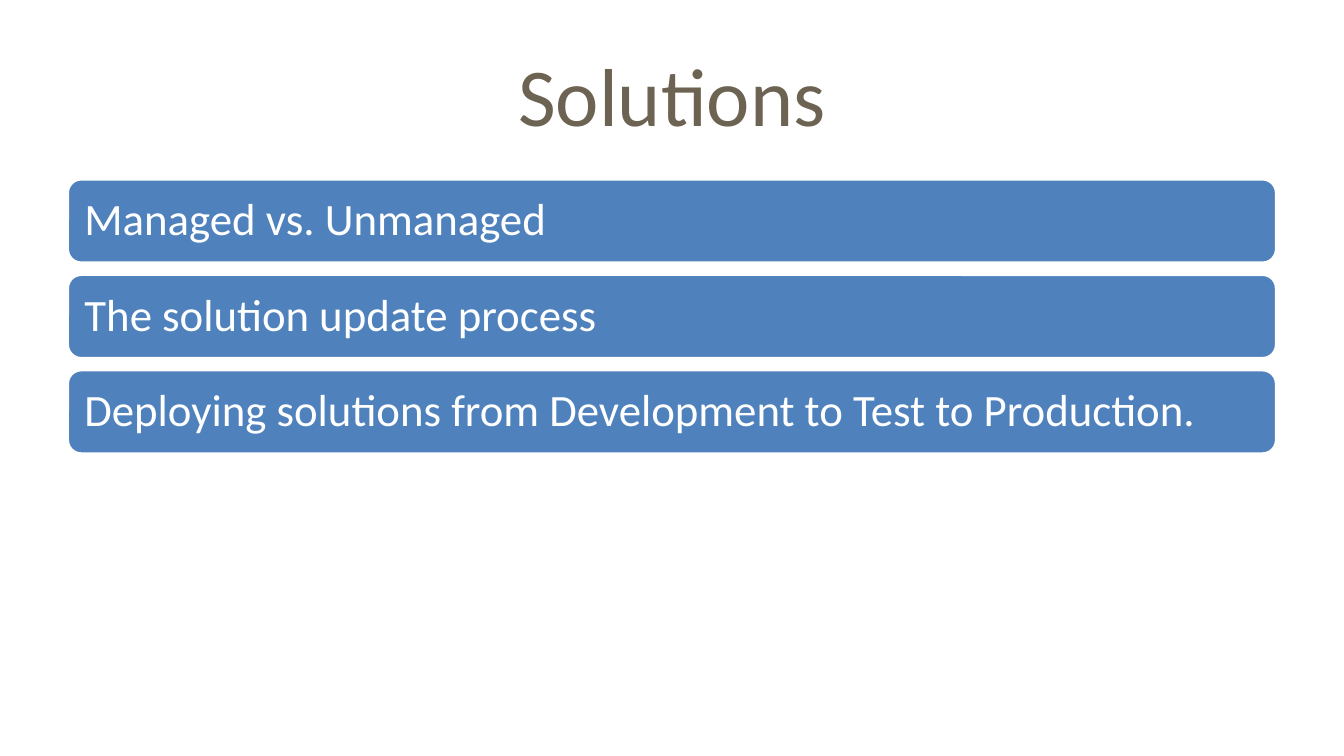
from pptx import Presentation
from pptx.dml.color import RGBColor
from pptx.enum.shapes import MSO_SHAPE as Shape
from pptx.enum.text import MSO_ANCHOR as Anchor, PP_ALIGN as Align
from pptx.util import Pt

SCALE = 4572
FONT = "Calibri"
TOPICS = [
    "Managed vs. Unmanaged",
    "The solution update process",
    "Deploying solutions from Development to Test to Production.",
]


def px(*nums):
    """Turn px, 200 to the inch, into EMU."""
    return [n * SCALE for n in nums]


def paint(fill, color):
    """Set a solid colour on a fill."""
    fill.solid()
    fill.fore_color.rgb = RGBColor.from_string(color)


def write(shape, text, size, color, align, pad):
    """Write one line of text, centred in height, into a shape."""
    frame = shape.text_frame
    frame.word_wrap = True
    frame.vertical_anchor = Anchor.MIDDLE
    side, edge = px(20, pad)
    frame.margin_left = frame.margin_right = side
    frame.margin_top = frame.margin_bottom = edge
    para = frame.paragraphs[0]
    para.alignment = align
    run = para.add_run()
    run.text = text
    run.font.size = Pt(size)
    run.font.name = FONT
    paint(run.font.fill, color)
    return para


def add_title(slide, text, *box):
    """Place and format the title."""
    title = slide.shapes.title
    title.left, title.top, title.width, title.height = px(*box)
    write(title, text, 44, "6C6352", Align.CENTER, 10)


def add_bar(slide, text, left, top, width, height):
    """Draw one rounded bar with its topic set just inside."""
    bar = slide.shapes.add_shape(
        Shape.ROUNDED_RECTANGLE, *px(left, top, width, height))
    bar.shadow.inherit = False
    paint(bar.fill, "4F81BD")
    paint(bar.line.fill, "FFFFFF")
    bar.line.width = Pt(2)
    label = slide.shapes.add_textbox(
        *px(left + 6, top + 6, width - 12, height - 12))
    para = write(label, text, 24, "FFFFFF", Align.LEFT, 20)
    para.line_spacing = 0.9


def add_list(slide, topics, left, top, width, height, gap):
    """Stack the topic bars evenly within the box."""
    step = (height + gap) // len(topics)
    for i, topic in enumerate(topics):
        add_bar(slide, topic, left, top + i * step, width, step - gap)


def main():
    """Build and save the slide."""
    deck = Presentation()
    deck.slide_width, deck.slide_height = px(2000, 1125)
    slide = deck.slides.add_slide(deck.slide_layouts[5])
    paint(slide.background.fill, "FFFFFF")
    add_title(slide, "Solutions", 100, 45, 1800, 188)
    add_list(slide, TOPICS, 100, 266, 1800, 410, 16)
    deck.save("out.pptx")


if __name__ == "__main__":
    main()
